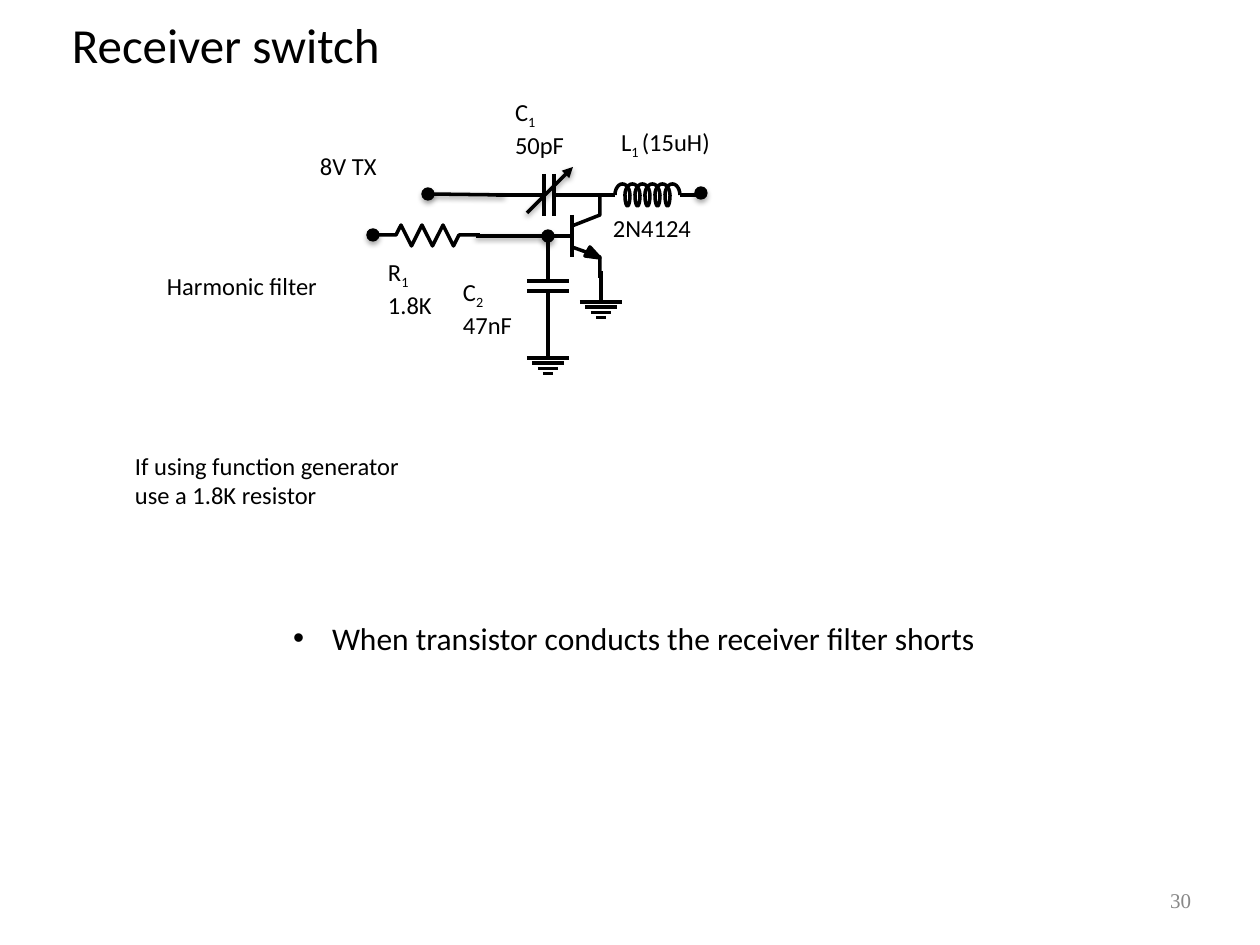
from math import cos, pi, sin

from lxml import etree
from pptx import Presentation
from pptx.dml.color import RGBColor
from pptx.enum.shapes import MSO_CONNECTOR as Connector, MSO_SHAPE as Shape
from pptx.enum.text import MSO_ANCHOR as Anchor, PP_ALIGN as Align
from pptx.oxml.ns import qn
from pptx.util import Inches, Pt

SCALE = Inches(10) / 1260  # EMU per px
BLACK = RGBColor(0, 0, 0)
GRAY = RGBColor(0x88, 0x88, 0x88)


def px(value):
    return round(value * SCALE)


class Schematic:
    font = "Calibri"
    wire_width = Pt(2)
    inset = 6

    def __init__(self, slide):
        self.slide = slide
        self.shapes = slide.shapes

    def place(self, shape, left, top, width, height):
        shape.left, shape.top = px(left), px(top)
        shape.width, shape.height = px(width), px(height)

    def frame(self, shape, inset, anchor=Anchor.TOP, wrap=True):
        frame = shape.text_frame
        frame.margin_left = frame.margin_right = px(inset)
        frame.margin_top = frame.margin_bottom = px(inset)
        frame.vertical_anchor = anchor
        frame.word_wrap = wrap
        return frame

    def style(self, paragraph, size, color=BLACK, font=None, align=Align.LEFT):
        paragraph.alignment = align
        paragraph.font.size = Pt(size)
        paragraph.font.name = font or self.font
        paragraph.font.color.rgb = color

    def title(self, text, *box):
        shape = self.shapes.title
        self.place(shape, *box)
        frame = self.frame(shape, 0, wrap=False)
        frame.text = text
        self.style(frame.paragraphs[0], 28)

    def bullet(self, text, *box):
        shape = self.slide.placeholders[1]
        self.place(shape, *box)
        frame = self.frame(shape, self.inset)
        frame.text = text
        paragraph = frame.paragraphs[0]
        paragraph.space_before = Pt(0)
        properties = paragraph._p.get_or_add_pPr()
        properties.set("marL", str(px(39)))
        properties.set("indent", str(-px(39)))
        etree.SubElement(properties, qn("a:buChar"), char="•")
        self.style(paragraph, 18)

    def label(self, lines, *box, size=14, anchor=Anchor.TOP, **look):
        """Underscores in a line switch subscript on and off."""
        shape = self.shapes.add_textbox(*map(px, box))
        frame = self.frame(shape, self.inset, anchor)
        for number, line in enumerate(lines):
            paragraph = frame.add_paragraph() if number else frame.paragraphs[0]
            for part, text in enumerate(line.split("_")):
                run = paragraph.add_run()
                run.text = text
                if part % 2:
                    run._r.get_or_add_rPr().set("baseline", "-25000")
            self.style(paragraph, size, **look)

    def effects(self, shape, shadow=False, alpha=38, distance=1.6):
        effects = etree.SubElement(shape._element.spPr, qn("a:effectLst"))
        if shadow:
            outer = etree.SubElement(
                effects, qn("a:outerShdw"), blurRad=str(Pt(3)),
                dist=str(Pt(distance)), dir="5400000", rotWithShape="0")
            color = etree.SubElement(outer, qn("a:srgbClr"), val=str(BLACK))
            etree.SubElement(color, qn("a:alpha"), val=str(alpha * 1000))

    def outline(self, shape, width):
        shape.line.color.rgb = BLACK
        shape.line.width = width

    def wire(self, x1, y1, x2, y2, shadow=False, arrow=False):
        line = self.shapes.add_connector(
            Connector.STRAIGHT, *map(px, (x1, y1, x2, y2)))
        self.outline(line, self.wire_width)
        if arrow:
            etree.SubElement(line._element.spPr.find(qn("a:ln")),
                             qn("a:tailEnd"), type="triangle")
        self.effects(line, shadow)

    def outline_path(self, points, filled=False):
        start, *rest = [(px(x), px(y)) for x, y in points]
        builder = self.shapes.build_freeform(*start)
        builder.add_line_segments(rest, close=filled)
        shape = builder.convert_to_shape()
        if filled:
            shape.fill.solid()
            shape.fill.fore_color.rgb = BLACK
        else:
            shape.fill.background()
        self.outline(shape, self.wire_width)
        self.effects(shape)

    def half_loop(self, left, y, width, height):
        """Half an ellipse; a negative height bends upwards."""
        radius, steps = width / 2, 12
        self.outline_path([
            (left + radius - radius * cos(pi * step / steps),
             y + height * sin(pi * step / steps))
            for step in range(steps + 1)])

    def dot(self, x, y, radius=6):
        dot = self.shapes.add_shape(
            Shape.OVAL, px(x - radius), px(y - radius),
            px(2 * radius), px(2 * radius))
        dot.fill.solid()
        dot.fill.fore_color.rgb = BLACK
        self.outline(dot, Pt(0.75))
        self.effects(dot, True, alpha=35, distance=1.8)

    def ground(self, x, y):
        self.wire(x, y - 31, x, y)
        for row, half in enumerate((21, 16, 10, 5, 0)):
            self.wire(x - half, y + 5.25 * row, x + half, y + 5.25 * row)


def main():
    presentation = Presentation()
    presentation.slide_width, presentation.slide_height = Inches(10), Inches(7.5)
    slide = presentation.slides.add_slide(presentation.slide_layouts[1])
    schematic = Schematic(slide)

    schematic.title("Receiver switch", 72, 14, 314, 59)
    schematic.bullet("When transistor conducts the receiver filter shorts",
                     287, 613, 745, 50)

    # Inductor L1
    for turn in range(6):
        schematic.half_loop(615 + 10 * turn, 195, 15, -11)
    for turn in range(5):
        schematic.half_loop(625 + 10 * turn, 195, 5, 11)
    schematic.wire(597, 195, 615, 195)
    schematic.wire(680, 195, 698, 195)

    # Variable capacitor C1
    schematic.wire(428, 194, 504, 195, shadow=True)
    schematic.wire(496, 195, 544, 195)
    schematic.wire(554, 195, 602, 195)
    for x in (544, 554):
        schematic.wire(x, 174, x, 216)
    schematic.wire(527, 213, 573, 167, shadow=True, arrow=True)

    # Resistor R1
    zigzag = [(401 + 10.5 * k, 246 if k % 2 else 225) for k in range(6)]
    schematic.outline_path(
        [(374, 235), (396, 235), *zigzag, (459, 235), (480, 235)])
    schematic.wire(476, 236, 548, 236, shadow=True)

    # Capacitor C2
    schematic.wire(548, 233, 548, 281)
    schematic.wire(548, 291, 548, 339)
    for y in (281, 291):
        schematic.wire(527, y, 569, y)

    # Transistor
    schematic.outline_path([(600, 194), (600, 215), (572, 226),
                            (572, 247), (600, 257), (600, 278)])
    schematic.wire(572, 215, 572, 257)
    schematic.wire(572, 236, 546, 236)
    schematic.outline_path([(600, 258), (590, 247), (585, 256)], filled=True)

    # Grounds and terminals
    schematic.ground(548, 358)
    schematic.ground(601, 302)
    for x, y in ((373, 235), (701, 193), (428, 194), (548, 236)):
        schematic.dot(x, y)

    # Labels
    for lines, *box in (
        (["2N4124"], 607, 207, 96, 42),
        (["8V TX"], 314, 145, 116, 42),
        (["If using function generator", "use a 1.8K resistor"],
         129, 445, 344, 72),
        (["L_1 _(15uH)"], 615, 121, 180, 42),
        (["C_1", "50pF"], 509, 91, 107, 72),
        (["R_1", "1.8K"], 382, 251, 91, 72),
        (["C_2", "47nF"], 457, 271, 74, 72),
        (["Harmonic filter"], 161, 265, 187, 42),
    ):
        schematic.label(lines, *box)

    # Slide number
    schematic.label(["30"], 903, 882, 294, 37, size=12, anchor=Anchor.MIDDLE,
                    color=GRAY, font="Times New Roman", align=Align.RIGHT)

    presentation.save("out.pptx")


if __name__ == "__main__":
    main()
